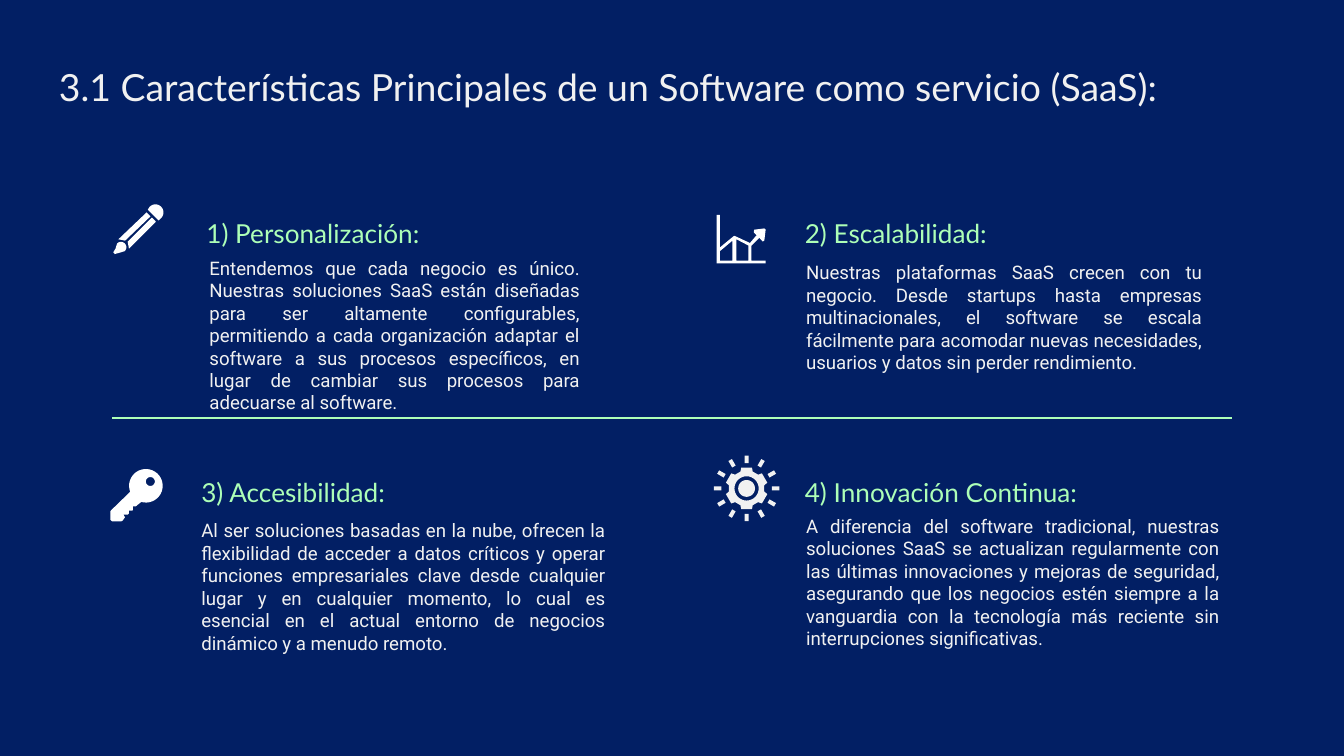
from dataclasses import dataclass
from math import cos, radians, sin

from lxml.etree import SubElement
from pptx import Presentation
from pptx.dml.color import RGBColor
from pptx.enum.shapes import MSO_CONNECTOR
from pptx.enum.text import MSO_ANCHOR, PP_ALIGN
from pptx.oxml.ns import qn
from pptx.util import Pt


@dataclass(frozen=True)
class Theme:
    background: RGBColor = RGBColor(0x02, 0x1F, 0x64)
    text: RGBColor = RGBColor(0xF1, 0xF1, 0xF1)
    accent: RGBColor = RGBColor(0xAD, 0xFF, 0xB7)
    icon: RGBColor = RGBColor(0xFF, 0xFF, 0xFF)
    heading_font: str = "Lato"
    body_font: str = "Roboto"
    title_size: float = 20
    heading_size: float = 14
    body_size: float = 10
    lead_size: float = 12


THEME = Theme()
TITLE = "3.1 Características Principales de un Software como servicio (SaaS):"
HEADING_LEFTS = (100.8, 424.1)
HEADING_TOPS = (105.1, 244.1)
BODY_TOPS = (130.3, 268.6)

# column, row, heading, heading indent, body left, body width, tab size, body
FEATURES = (
    (0, 0, "1) Personalización:", 2.7, 69.1, 248.4, THEME.body_size,
     "Entendemos que cada negocio es único. Nuestras soluciones SaaS están "
     "diseñadas para ser altamente configurables, permitiendo a cada "
     "organización adaptar el software a sus procesos específicos, en lugar "
     "de cambiar sus procesos para adecuarse al software."),
    (1, 0, "2) Escalabilidad:", 0, 388.8, 262.1, THEME.lead_size,
     "Nuestras plataformas SaaS crecen con tu negocio. Desde startups hasta "
     "empresas multinacionales, el software se escala fácilmente para "
     "acomodar nuevas necesidades, usuarios y datos sin perder rendimiento."),
    (0, 1, "3) Accesibilidad:", 0, 64.8, 266.4, THEME.lead_size,
     "Al ser soluciones basadas en la nube, ofrecen la flexibilidad de "
     "acceder a datos críticos y operar funciones empresariales clave desde "
     "cualquier lugar y en cualquier momento, lo cual es esencial en el "
     "actual entorno de negocios dinámico y a menudo remoto."),
    (1, 1, "4) Innovación Continua:", 0, 388.8, 271.4, THEME.body_size,
     "A diferencia del software tradicional, nuestras soluciones SaaS se "
     "actualizan regularmente con las últimas innovaciones y mejoras de "
     "seguridad, asegurando que los negocios estén siempre a la vanguardia "
     "con la tecnología más reciente sin interrupciones significativas."),
)


def add_box(page, left, top, width, height, anchor=MSO_ANCHOR.TOP):
    box = page.shapes.add_textbox(Pt(left), Pt(top), Pt(width), Pt(height))
    frame = box.text_frame
    frame.word_wrap = True
    frame.vertical_anchor = anchor
    frame.margin_left = frame.margin_right = Pt(7.2)
    frame.margin_top = frame.margin_bottom = Pt(7.2)
    return frame.paragraphs[0]


def add_span(para, text, font, size, color):
    span = para.add_run()
    span.text = text
    span.font.name = font
    span.font.size = Pt(size)
    span.font.color.rgb = color


def set_indent(para, left, first=0):
    properties = para._p.get_or_add_pPr()
    properties.set("marL", str(Pt(left)))
    properties.set("indent", str(Pt(first)))


def add_title(page):
    para = add_box(page, 24.5, 27.4, 679.7, 45.4)
    para.alignment = PP_ALIGN.JUSTIFY
    add_span(para, TITLE, THEME.heading_font, THEME.title_size, THEME.text)


def add_feature(page, column, row, heading, indent, left, width, tab_size, body):
    para = add_box(page, left, BODY_TOPS[row], width, 85)
    para.alignment = PP_ALIGN.JUSTIFY
    set_indent(para, 36, -24)
    add_span(para, "\t", THEME.body_font, tab_size, THEME.text)
    add_span(para, body, THEME.body_font, THEME.body_size, THEME.text)

    para = add_box(page, HEADING_LEFTS[column], HEADING_TOPS[row], 239.8, 35.3,
                   MSO_ANCHOR.BOTTOM)
    set_indent(para, indent)
    add_span(para, heading, THEME.heading_font, THEME.heading_size, THEME.accent)


def add_divider(page):
    line = page.shapes.add_connector(
        MSO_CONNECTOR.STRAIGHT, Pt(660), Pt(223.9), Pt(60), Pt(223.9))
    line.line.color.rgb = THEME.accent
    line.line.width = Pt(0.75)
    SubElement(line._element.spPr, qn("a:effectLst"))


def polar(center, radius, angle):
    return (center[0] + radius * cos(radians(angle)),
            center[1] + radius * sin(radians(angle)))


def arc(center, radius, start=0, end=360, steps=32):
    return [polar(center, radius, start + (end - start) * step / steps)
            for step in range(steps + 1)]


def add_outline(shapes, color, *contours):
    builder = None
    for contour in contours:
        points = [(Pt(x), Pt(y)) for x, y in contour]
        if builder is None:
            builder = shapes.build_freeform(*points[0])
        else:
            builder.move_to(*points[0])
        builder.add_line_segments(points[1:], close=True)
    shape = builder.convert_to_shape()
    shape.shadow.inherit = False
    shape.fill.solid()
    shape.fill.fore_color.rgb = color
    shape.line.fill.background()


def add_pencil(page):
    shapes = page.shapes.add_group_shape().shapes
    parts = (
        [(78.5, 113.8), (63.4, 128.2), (67, 128.9), (80.6, 115.9)],
        [(79.2, 112.3), *arc((83.3, 113.8), 4.3, -135, 45), (85, 118.1)],
        [(81.4, 116.6), (68.4, 129.6), (69.1, 133.2), (83.5, 118.8)],
        [*arc((64.8, 132.5), 2.9, -135, 45), (64.1, 135.4), (61.5, 136.1),
         (60.7, 135.2), (61.9, 133.2)],
    )
    for part in parts:
        add_outline(shapes, THEME.icon, part)


def add_growth_chart_icon(page):
    frame = [(383.9, 115.2), (383.9, 141.1), (410.2, 141.1), (410.2, 139.6),
             (402.5, 139.6), (402.5, 131.8), (406.8, 127.4), (408.6, 129.4),
             (409.5, 128.9), (410.2, 123), (409.5, 122.4), (404, 123.1),
             (403.9, 124.6), (405.4, 126), (401.8, 130.2), (393.6, 126.4),
             (392.9, 126.7), (385.7, 132.6), (385.7, 115.2)]
    left_gap = [(392.4, 129), (392.4, 139.6), (385.7, 139.6), (385.7, 134.6)]
    right_gap = [(394.5, 128.2), (401, 131.6), (401, 139.6), (394.5, 139.6)]
    add_outline(page.shapes, THEME.icon, frame, left_gap, right_gap)


def add_key(page):
    shaft = [(72.7, 271.4), (71.3, 271.4), (71.3, 273.4), (70.6, 273.6),
             (69.1, 273.6), (69.1, 275.2), (68.4, 275.8), (66.2, 275.8),
             (67, 277.2), (65.7, 279), (64.8, 279.4), (60.2, 279.4),
             (59.2, 278.6), (59.2, 274), (59.6, 273.4)]
    head = arc((78.2, 260.3), 9, 159, 466)
    add_outline(page.shapes, THEME.icon, head + shaft, arc((80.6, 258), 2.4))


def add_gear(page):
    shapes = page.shapes.add_group_shape().shapes
    center = (400, 261.7)
    for angle in range(0, 360, 30):
        ray = [polar(center, radius, angle + turn) for radius, turn in
               ((13.6, -4.5), (17.6, -3.5), (17.6, 3.5), (13.6, 4.5))]
        add_outline(shapes, THEME.text, ray)
    rim = [polar(center, radius, angle + turn)
           for angle in range(30, 390, 60)
           for radius, turn in ((9.6, -20), (11.5, -14.5), (11.5, 14.5), (9.6, 20))]
    add_outline(shapes, THEME.text, arc(center, 4.5))
    add_outline(shapes, THEME.text, rim, arc(center, 6.5))


def main():
    deck = Presentation()
    deck.slide_width, deck.slide_height = Pt(720), Pt(405)
    page = deck.slides.add_slide(deck.slide_layouts[6])
    page.background.fill.solid()
    page.background.fill.fore_color.rgb = THEME.background
    add_title(page)
    for feature in FEATURES:
        add_feature(page, *feature)
    add_gear(page)
    add_divider(page)
    add_pencil(page)
    add_growth_chart_icon(page)
    add_key(page)
    deck.save("out.pptx")


if __name__ == "__main__":
    main()
